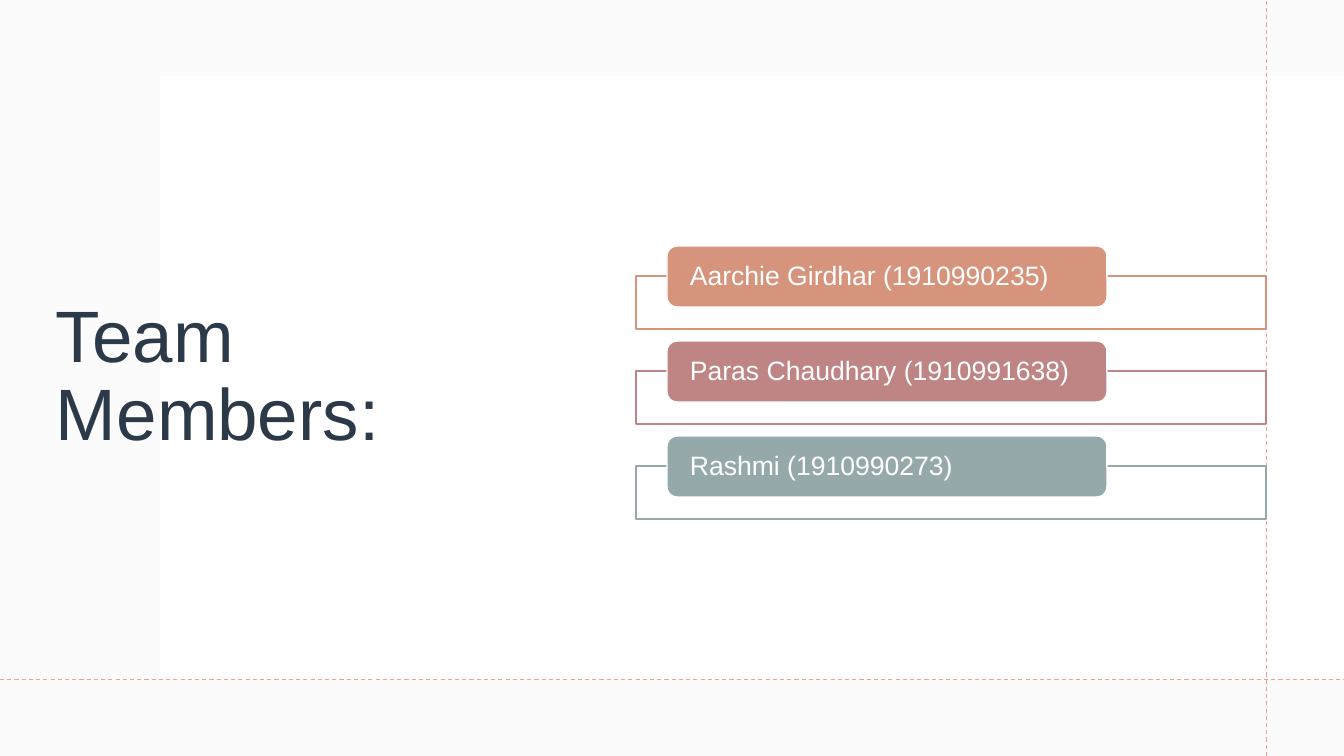
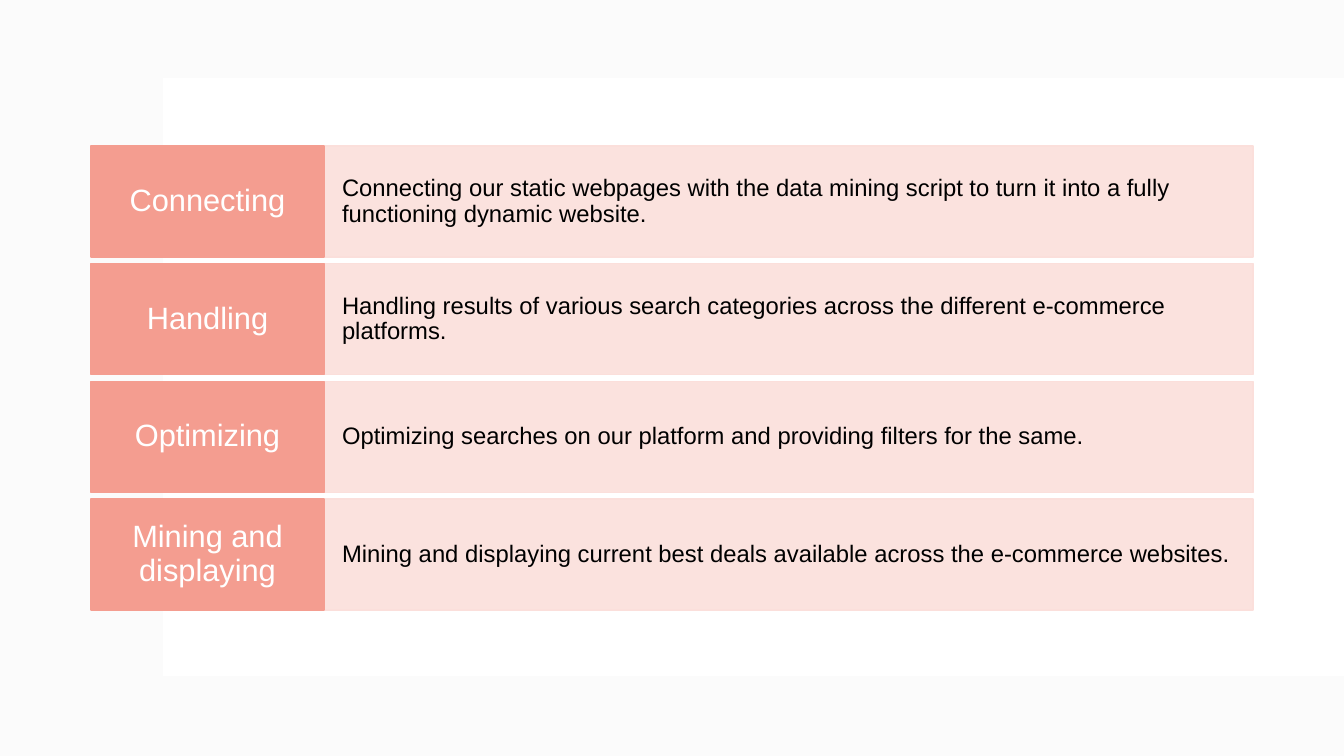
import dataclasses

import pptx
import pptx.dml.color
import pptx.enum.dml
import pptx.enum.shapes
import pptx.enum.text
import pptx.oxml
import pptx.oxml.ns
import pptx.util

WIDE, HIGH = 1344, 756
SCALE = 12192000 / WIDE
SHAPE = pptx.enum.shapes.MSO_SHAPE
ALIGN = pptx.enum.text.PP_ALIGN


@dataclasses.dataclass(frozen=True)
class Theme:
    font: str = "Arial"
    white: str = "FFFFFF"
    black: str = "000000"
    navy: str = "2C3948"
    mist: str = "F4F4F4"
    coral: str = "F49D90"
    blush: str = "FBDFDB"
    clay: str = "D6947C"
    rose: str = "BF8484"
    sage: str = "96A9AA"
    title: int = 52
    label: int = 22
    name: int = 19
    body: int = 17
    edge: float = 1
    rule: float = 0.75
    lead: float = 0.9


THEME = Theme()

TEAM = [
    ("Aarchie Girdhar (1910990235)", THEME.clay),
    ("Paras Chaudhary (1910991638)", THEME.rose),
    ("Rashmi (1910990273)", THEME.sage),
]

TASKS = [
    ("Connecting", "Connecting our static webpages with the data mining script "
     "to turn it into a fully functioning dynamic website."),
    ("Handling", "Handling results of various search categories across the "
     "different e-commerce platforms."),
    ("Optimizing", "Optimizing searches on our platform and providing filters "
     "for the same."),
    ("Mining and displaying", "Mining and displaying current best deals "
     "available across the e-commerce websites."),
]


def px(size):
    return pptx.util.Emu(round(size * SCALE))


def rgb(code):
    return pptx.dml.color.RGBColor.from_string(code)


def block(slide, box, fill, line=None, alpha=100, kind=SHAPE.RECTANGLE):
    """Add a filled shape; alpha is the opacity of its fill in percent."""
    shape = slide.shapes.add_shape(kind, *map(px, box))
    shape.shadow.inherit = False
    shape.fill.solid()
    shape.fill.fore_color.rgb = rgb(fill)
    if alpha < 100:
        tone = next(shape._element.spPr.iter(pptx.oxml.ns.qn("a:srgbClr")))
        node = pptx.oxml.parse_xml(
            f'<a:alpha {pptx.oxml.ns.nsdecls("a")} val="{alpha * 1000}"/>')
        tone.append(node)
    if line:
        shape.line.color.rgb = rgb(line)
        shape.line.width = pptx.util.Pt(THEME.edge)
    else:
        shape.line.fill.background()
    return shape


def write(shape, text, size, color, pad, align=ALIGN.LEFT):
    """Set one paragraph, centred vertically, with pad px at each side."""
    frame = shape.text_frame
    frame.word_wrap = True
    frame.vertical_anchor = pptx.enum.text.MSO_ANCHOR.MIDDLE
    frame.margin_left = frame.margin_right = px(pad)
    frame.margin_top = frame.margin_bottom = 0
    para = frame.paragraphs[0]
    para.alignment = align
    para.line_spacing = THEME.lead
    run = para.add_run()
    run.text = text
    run.font.name = THEME.font
    run.font.size = pptx.util.Pt(size)
    run.font.color.rgb = rgb(color)


def rule(slide, *ends):
    """Draw a dashed guide line between two points."""
    line = slide.shapes.add_connector(
        pptx.enum.shapes.MSO_CONNECTOR.STRAIGHT, *map(px, ends))
    line.line.color.rgb = rgb(THEME.coral)
    line.line.width = pptx.util.Pt(THEME.rule)
    line.line.dash_style = pptx.enum.dml.MSO_LINE.DASH
    line._element.spPr.append(
        pptx.oxml.parse_xml(f'<a:effectLst {pptx.oxml.ns.nsdecls("a")}/>'))


def stack(box, count, high):
    """Yield the tops of equal rows that fill the box from top to bottom."""
    step = (box[3] - high) / (count - 1)
    for row in range(count):
        yield box[1] + row * step


def base(deck, panel):
    """Add a slide with the pale ground and the white panel."""
    slide = deck.slides.add_slide(deck.slide_layouts[6])
    block(slide, (0, 0, WIDE, HIGH), THEME.mist, alpha=35)
    block(slide, panel, THEME.white)
    return slide


def title(slide, box, text):
    shape = slide.shapes.add_textbox(*map(px, box))
    write(shape, text, THEME.title, THEME.navy, 10)


def names(slide, box, team):
    """Place one outlined box per member with a name pill over its top."""
    left, _, wide, _ = box
    pill, lift, high = 61, 30, 83
    for (name, color), top in zip(team, stack(box, len(team), high)):
        block(slide, (left, top + lift, wide, high - lift), THEME.white,
              color, 90)
        shape = block(slide, (left + 31, top, 440, pill), color, THEME.white,
                      kind=SHAPE.ROUNDED_RECTANGLE)
        write(shape, name, THEME.name, THEME.white, 20)


def tasks(slide, box, rows):
    """Place a label and its text side by side on each row."""
    left, _, wide, _ = box
    side, high = 233, 111
    for (label, text), top in zip(rows, stack(box, len(rows), high)):
        body = block(slide, (left + side, top, wide - side, high),
                     THEME.blush, THEME.blush, 90)
        write(body, text, THEME.body, THEME.black, 18)
        head = block(slide, (left, top, side, high), THEME.coral, THEME.coral)
        write(head, label, THEME.label, THEME.white, 12, ALIGN.CENTER)


def main():
    deck = pptx.Presentation()
    deck.slide_width, deck.slide_height = px(WIDE), px(HIGH)

    slide = base(deck, (160, 76, WIDE - 160, 604))
    title(slide, (46, 104, 520, 548), "Team Members:")
    rule(slide, 1267, HIGH, 1267, 0)
    rule(slide, 0, 680, WIDE, 680)
    names(slide, (636, 246, 630, 273), TEAM)

    slide = base(deck, (163, 78, WIDE - 163, 598))
    tasks(slide, (91, 146, 1162, 464), TASKS)

    deck.save("out.pptx")


if __name__ == "__main__":
    main()
